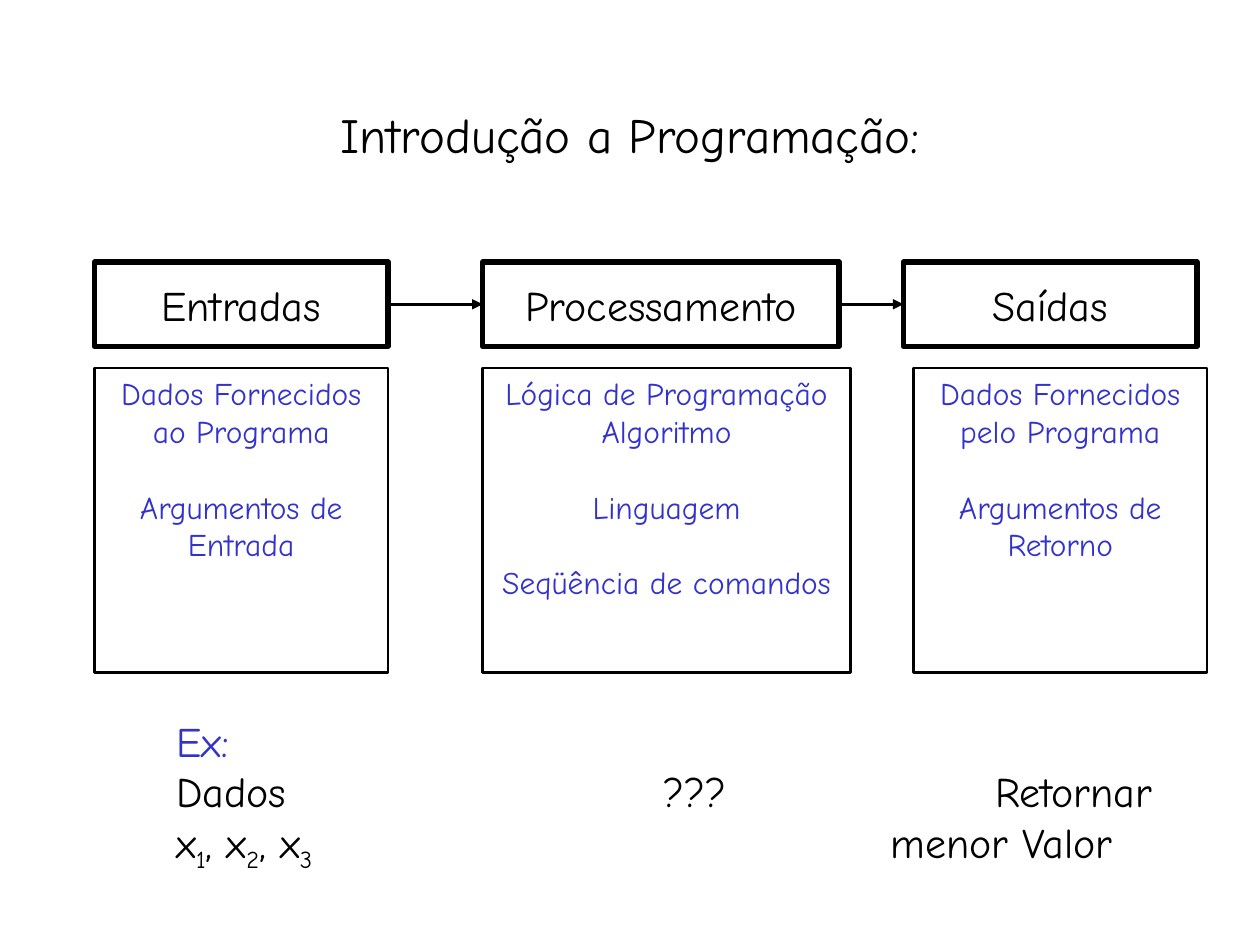
from dataclasses import dataclass

from lxml import etree
from pptx import Presentation
from pptx.dml.color import RGBColor
from pptx.enum.shapes import MSO_CONNECTOR, MSO_SHAPE
from pptx.enum.text import MSO_ANCHOR, PP_ALIGN
from pptx.oxml.ns import qn
from pptx.util import Inches, Pt

RECTANGLE = MSO_SHAPE.RECTANGLE
STRAIGHT = MSO_CONNECTOR.STRAIGHT
MIDDLE, TOP = MSO_ANCHOR.MIDDLE, MSO_ANCHOR.TOP
LEFT, CENTER = PP_ALIGN.LEFT, PP_ALIGN.CENTER

BLACK = RGBColor(0x00, 0x00, 0x00)
WHITE = RGBColor(0xFF, 0xFF, 0xFF)
BLUE = RGBColor(0x33, 0x33, 0xCC)
FONT = "Comic Neue"
TITLE_ONLY = 5

HEADING_TOP, HEADING_HEIGHT = 2.08, 0.67
DETAIL_TOP, DETAIL_HEIGHT = 2.92, 2.42
DETAIL_SIZE = 18
LINE_SPACING = 1.2


@dataclass(frozen=True)
class Stage:
    heading: str
    left: float
    width: float
    detail_left: float
    detail_width: float
    groups: tuple[tuple[str, ...], ...]


STAGES = (
    Stage("Entradas", 0.75, 2.33, 0.75, 2.33,
          (("Dados Fornecidos", "ao Programa"), ("Argumentos de", "Entrada"))),
    Stage("Processamento", 3.83, 2.83, 3.83, 2.92,
          (("Lógica de Programação", "Algoritmo"), ("Linguagem",),
           ("Seqüência de comandos",))),
    Stage("Saídas", 7.17, 2.33, 7.25, 2.33,
          (("Dados Fornecidos", "pelo Programa"), ("Argumentos de", "Retorno"))),
)


def add_text(paragraph, text: str, *, size: float = 24, color: RGBColor = BLACK,
             align: PP_ALIGN = CENTER, subscript: bool = False) -> None:
    paragraph.alignment = align
    run = paragraph.add_run()
    run.text = text
    run.font.name = FONT
    run.font.size = Pt(size)
    run.font.bold = False
    run.font.color.rgb = color
    if subscript:
        run.font._element.set("baseline", "-25000")


def next_paragraph(frame, index: int):
    return frame.paragraphs[0] if index == 0 else frame.add_paragraph()


def set_tabs(paragraph, *positions: float) -> None:
    tabs = etree.SubElement(paragraph._p.get_or_add_pPr(), qn("a:tabLst"))
    for position in positions:
        etree.SubElement(tabs, qn("a:tab"), pos=str(Inches(position)), algn="l")


def add_box(slide, left: float, top: float, width: float, height: float, *,
            line_width: float, anchor: MSO_ANCHOR):
    """Draw an outlined white rectangle and return its text frame."""
    shape = slide.shapes.add_shape(
        RECTANGLE, Inches(left), Inches(top), Inches(width), Inches(height))
    shape.shadow.inherit = False
    shape.fill.solid()
    shape.fill.fore_color.rgb = WHITE
    shape.line.color.rgb = BLACK
    shape.line.width = Pt(line_width)
    frame = shape.text_frame
    frame.word_wrap = False
    frame.vertical_anchor = anchor
    return frame


def add_stage(slide, stage: Stage) -> None:
    heading = add_box(slide, stage.left, HEADING_TOP, stage.width, HEADING_HEIGHT,
                      line_width=3, anchor=MIDDLE)
    add_text(heading.paragraphs[0], stage.heading)

    details = add_box(slide, stage.detail_left, DETAIL_TOP, stage.detail_width,
                      DETAIL_HEIGHT, line_width=1.5, anchor=TOP)
    index = 0
    for group in stage.groups:
        for position, line in enumerate(group):
            paragraph = next_paragraph(details, index)
            if index and position == 0:
                paragraph.space_before = Pt(DETAIL_SIZE * LINE_SPACING)
            add_text(paragraph, line, size=DETAIL_SIZE, color=BLUE)
            index += 1


def add_arrow(slide, start: Stage, end: Stage) -> None:
    middle = Inches(HEADING_TOP + HEADING_HEIGHT / 2)
    connector = slide.shapes.add_connector(
        STRAIGHT, Inches(start.left + start.width), middle, Inches(end.left), middle)
    connector.line.color.rgb = BLACK
    connector.line.width = Pt(1.5)
    properties = connector._element.spPr
    etree.SubElement(properties.get_or_add_ln(), qn("a:tailEnd"), type="triangle")
    etree.SubElement(properties, qn("a:effectLst"))


def add_title(slide) -> None:
    title = slide.shapes.title
    title.left, title.top = Inches(0.75), Inches(0.67)
    title.width, title.height = Inches(8.5), Inches(1.25)
    frame = title.text_frame
    frame.vertical_anchor = MIDDLE
    frame.margin_bottom = Inches(0.52)
    add_text(frame.paragraphs[0], "Introdução a Programação:", size=28)


def add_example(slide) -> None:
    box = slide.shapes.add_textbox(
        Inches(1.3), Inches(5.63), Inches(7.95), Inches(1.36))
    frame = box.text_frame
    frame.word_wrap = True
    frame.margin_right = 0
    add_text(frame.paragraphs[0], "Ex:", color=BLUE, align=LEFT)

    labels = frame.add_paragraph()
    set_tabs(labels, 3.87, 6.5)
    add_text(labels, "Dados\t???\tRetornar", align=LEFT)

    variables = frame.add_paragraph()
    set_tabs(variables, 5.67)
    for text, subscript in (("x", "1"), (", x", "2"), (", x", "3")):
        add_text(variables, text, align=LEFT)
        add_text(variables, subscript, align=LEFT, subscript=True)
    add_text(variables, "\tmenor Valor", align=LEFT)


def main() -> None:
    presentation = Presentation()
    presentation.slide_width = Inches(10)
    presentation.slide_height = Inches(7.5)
    slide = presentation.slides.add_slide(presentation.slide_layouts[TITLE_ONLY])
    add_title(slide)
    for stage in STAGES:
        add_stage(slide, stage)
    for start, end in zip(STAGES, STAGES[1:]):
        add_arrow(slide, start, end)
    add_example(slide)
    presentation.save("out.pptx")


if __name__ == "__main__":
    main()
